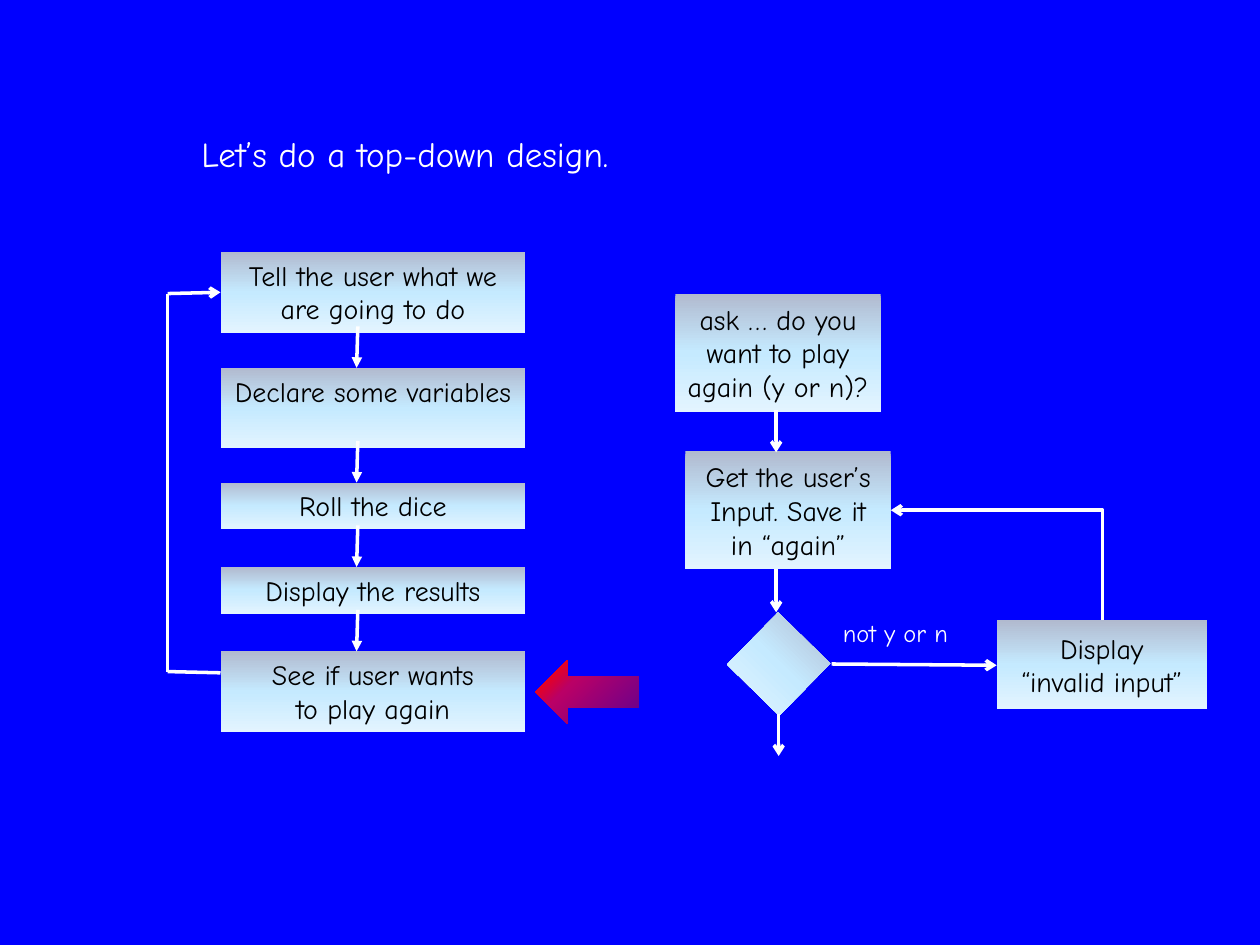
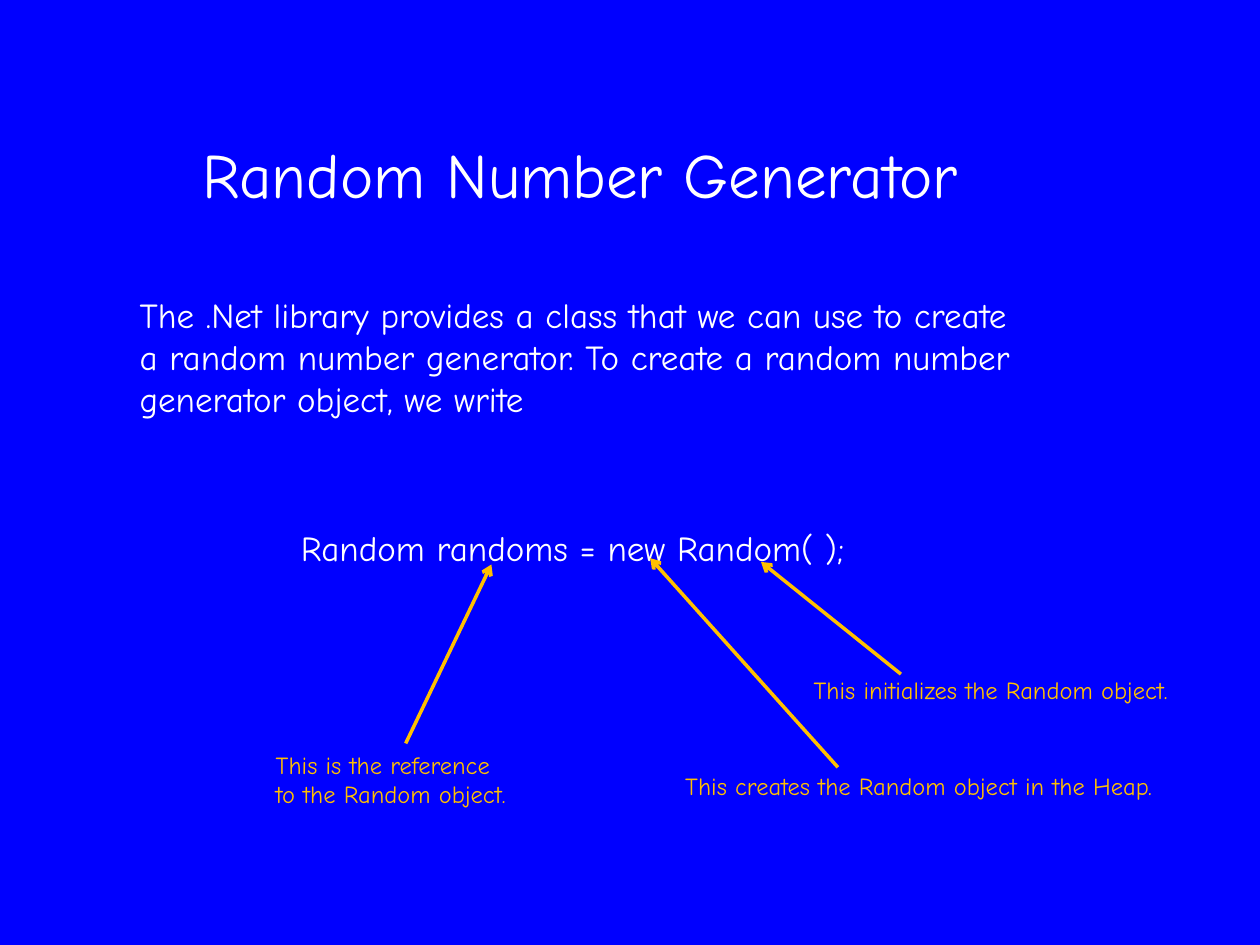
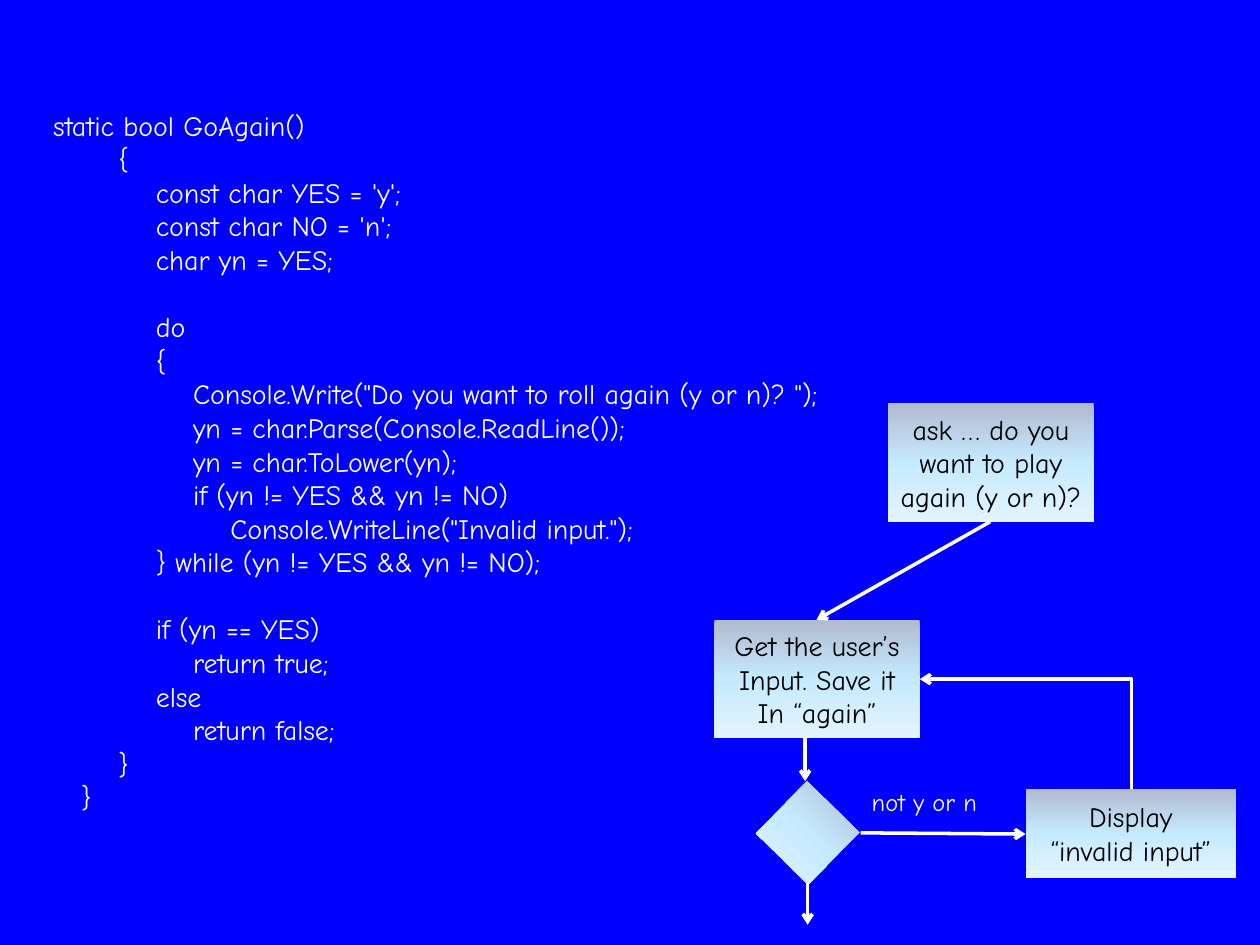
import itertools

import lxml.etree
import pptx
import pptx.dml.color
import pptx.enum.shapes
import pptx.enum.text
import pptx.oxml.ns
import pptx.util

Inches = pptx.util.Inches
Pt = pptx.util.Pt
Anchor = pptx.enum.text.MSO_ANCHOR
Align = pptx.enum.text.PP_ALIGN
AutoSize = pptx.enum.text.MSO_AUTO_SIZE
Shape = pptx.enum.shapes.MSO_SHAPE
Connector = pptx.enum.shapes.MSO_CONNECTOR
qn = pptx.oxml.ns.qn

COLORS = {
    "background": "0000FF",
    "text": "FFFFFF",
    "box_text": "000000",
    "line": "FFFFFF",
    "note": "FFC000",
}
BOX_STOPS = [(0, "B1BACF"), (50, "C5EAFF"), (100, "E3F4FF")]
MARKER_STOPS = [(0, "000082"), (1, "66008F"), (65, "BA0066"), (90, "FF0000"), (100, "FF8200")]
ASK = "ask … do you\nwant to play\nagain (y or n)?"
CODE_SPACE = 0.074
CODE_LINE = 19.2
CODE = [
    (1, "static bool GoAgain()"),
    (8, "{"),
    (12, "const char YES = 'y';"),
    (12, "const char NO = 'n';"),
    (12, "char yn = YES;"),
    (12, "do"),
    (12, "{"),
    (16, 'Console.Write("Do you want to roll again (y or n)? ");'),
    (16, "yn = char.Parse(Console.ReadLine());"),
    (16, "yn = char.ToLower(yn);"),
    (16, "if (yn != YES && yn != NO)"),
    (20, 'Console.WriteLine("Invalid input.");'),
    (12, "} while (yn != YES && yn != NO);"),
    (12, "if (yn == YES)"),
    (16, "return true;"),
    (12, "else"),
    (16, "return false;"),
    (8, "}"),
    (4, "}"),
]
AFTER_GAP = ("do", "if (yn == YES)")


class Deck:
    font = "Comic Neue"

    def __init__(self):
        self.presentation = pptx.Presentation()
        self.presentation.slide_width = Inches(10)
        self.presentation.slide_height = Inches(7.5)
        self.slide = None

    def color(self, name):
        return pptx.dml.color.RGBColor.from_string(COLORS[name])

    def add_slide(self):
        self.slide = self.presentation.slides.add_slide(self.presentation.slide_layouts[6])
        fill = self.slide.background.fill
        fill.solid()
        fill.fore_color.rgb = self.color("background")

    def set_text(self, shape, text, size, color, align):
        shape.text_frame.text = text
        for paragraph in shape.text_frame.paragraphs:
            paragraph.alignment = align
            for run in paragraph.runs:
                run.font.name = self.font
                run.font.size = Pt(size)
                run.font.color.rgb = self.color(color)

    def text(self, left, top, width, height, text, size, color="text"):
        shape = self.slide.shapes.add_textbox(*map(Inches, (left, top, width, height)))
        shape.text_frame.word_wrap = False
        shape.text_frame.auto_size = AutoSize.SHAPE_TO_FIT_TEXT
        self.set_text(shape, text, size, color, Align.LEFT)
        return shape

    def title(self, text):
        shape = self.text(1.51, 0.75, 7.41, 1.25, text, 36)
        shape.text_frame.auto_size = AutoSize.NONE
        shape.text_frame.word_wrap = True
        shape.text_frame.vertical_anchor = Anchor.MIDDLE

    def code(self, left, top, width, height, lines):
        shape = self.text(left, top, width, height, "\n".join(line for _, line in lines), 16)
        for paragraph, (spaces, line) in zip(shape.text_frame.paragraphs, lines):
            paragraph._p.get_or_add_pPr().set("marL", str(Inches(spaces * CODE_SPACE)))
            if line in AFTER_GAP:
                paragraph.space_before = Pt(CODE_LINE)

    def gradient_shape(self, kind, left, top, width, height, stops, rotation=0, circle=False):
        shape = self.slide.shapes.add_shape(kind, *map(Inches, (left, top, width, height)))
        shape.shadow.inherit = False
        shape.line.fill.background()
        shape.rotation = rotation
        shape.fill.gradient()
        gradient = shape._element.spPr.find(qn("a:gradFill"))
        for child in list(gradient):
            gradient.remove(child)
        gradient.set("rotWithShape", "1")
        stop_list = lxml.etree.SubElement(gradient, qn("a:gsLst"))
        for position, value in stops:
            stop = lxml.etree.SubElement(stop_list, qn("a:gs"), pos=str(position * 1000))
            lxml.etree.SubElement(stop, qn("a:srgbClr"), val=value)
        if circle:
            route = lxml.etree.SubElement(gradient, qn("a:path"), path="circle")
            lxml.etree.SubElement(route, qn("a:fillToRect"), l="100000", t="100000")
        else:
            lxml.etree.SubElement(gradient, qn("a:lin"), ang="5400000", scaled="1")
        return shape

    def box(self, left, top, width, height, text, anchor=Anchor.MIDDLE, wrap=False):
        shape = self.gradient_shape(Shape.RECTANGLE, left, top, width, height, BOX_STOPS)
        shape.text_frame.word_wrap = wrap
        shape.text_frame.vertical_anchor = anchor
        self.set_text(shape, text, 16, "box_text", Align.CENTER)

    def line(self, start, end, head="arrow", color="line", kind=Connector.STRAIGHT):
        connector = self.slide.shapes.add_connector(kind, *map(Inches, (*start, *end)))
        connector.line.color.rgb = self.color(color)
        connector.line.width = Pt(2)
        if head:
            lxml.etree.SubElement(connector.line._get_or_add_ln(), qn("a:tailEnd"), type=head)
        lxml.etree.SubElement(connector._element.spPr, qn("a:effectLst"))
        return connector

    def corner(self, start, end):
        center_x, center_y = (start[0] + end[0]) / 2, (start[1] + end[1]) / 2
        half_x, half_y = (start[0] - end[0]) / 2, (start[1] - end[1]) / 2
        connector = self.line(
            (center_x - half_y, center_y + half_x),
            (center_x + half_y, center_y - half_x),
            kind=Connector.ELBOW,
        )
        properties = connector._element.spPr
        properties.find(qn("a:prstGeom")).set("prst", "bentConnector2")
        properties.find(qn("a:xfrm")).set("rot", "16200000")

    def input_loop(self, left, top, text):
        self.gradient_shape(Shape.RECTANGLE, left + 0.45, top + 1.4, 0.58, 0.58, BOX_STOPS, 44.4)
        self.text(left + 1.15, top + 1.28, 1.08, 0.34, "not y or n", 14)
        self.box(left + 2.47, top + 1.34, 1.67, 0.71, "Display\n“invalid input”")
        self.line((left + 1.16, top + 1.69), (left + 2.47, top + 1.7))
        self.line((left + 0.72, top + 0.94), (left + 0.72, top + 1.28))
        self.box(left, top, 1.63, 0.94, text)
        self.line((left + 0.74, top + 2.09), (left + 0.74, top + 2.42))
        self.corner((left + 3.31, top + 1.34), (left + 1.63, top + 0.47))


deck = Deck()

deck.add_slide()
deck.text(1.5, 1, 3.72, 0.44, "Let’s do a top-down design.", 20)
steps = [
    (2, 0.64, "Tell the user what we are going to do"),
    (2.92, 0.64, "Declare some variables"),
    (3.83, 0.37, "Roll the dice"),
    (4.5, 0.37, "Display the results"),
    (5.17, 0.64, "See if user wants\nto play again"),
]
for top, height, text in steps:
    deck.box(1.75, top, 2.42, height, text, Anchor.TOP, True)
for top, _, _ in steps[1:]:
    deck.line((2.84, top - 0.33), (2.83, top), "triangle")
route = [(1.75, 5.34), (1.33, 5.33), (1.33, 2.33), (1.75, 2.32)]
for (start, end), head in zip(itertools.pairwise(route), (None, None, "arrow")):
    deck.line(start, end, head)
deck.gradient_shape(Shape.RIGHT_ARROW, 4.25, 5.24, 0.82, 0.5, MARKER_STOPS, 180, True)
deck.box(5.36, 2.33, 1.63, 0.94, ASK)
deck.input_loop(5.44, 3.58, "Get the user’s\nInput. Save it\nin “again”")
deck.line((6.16, 3.25), (6.16, 3.59))

deck.add_slide()
deck.title("Random Number Generator")
deck.text(
    1.01, 2.28, 7.91, 1.11,
    "The .Net library provides a class that we can use to create\n"
    "a random number generator. To create a random number\n"
    "generator object, we write",
    20,
)
deck.text(2.29, 4.13, 4.64, 0.44, "Random randoms = new Random( );", 20)
notes = [
    ((2.09, 5.9, 2.27, 0.57), "This is the reference\nto the Random object.", (3.22, 5.9), (3.9, 4.48)),
    ((5.34, 6.07, 4.3, 0.34), "This creates the Random object in the Heap.", (6.65, 6.09), (5.16, 4.43)),
    ((6.36, 5.31, 3.37, 0.34), "This initializes the Random object.", (7.15, 5.35), (6.04, 4.46)),
]
for place, text, start, end in notes:
    deck.text(*place, text, 14, "note")
    deck.line(start, end, color="note")

deck.add_slide()
deck.code(0.25, 0.81, 6.73, 5.76, CODE)
deck.box(7.05, 3.2, 1.63, 0.94, ASK)
deck.input_loop(5.67, 4.92, "Get the user’s\nInput. Save it\nIn “again”")
deck.line((7.86, 4.14), (6.48, 4.92))

deck.presentation.save("out.pptx")
